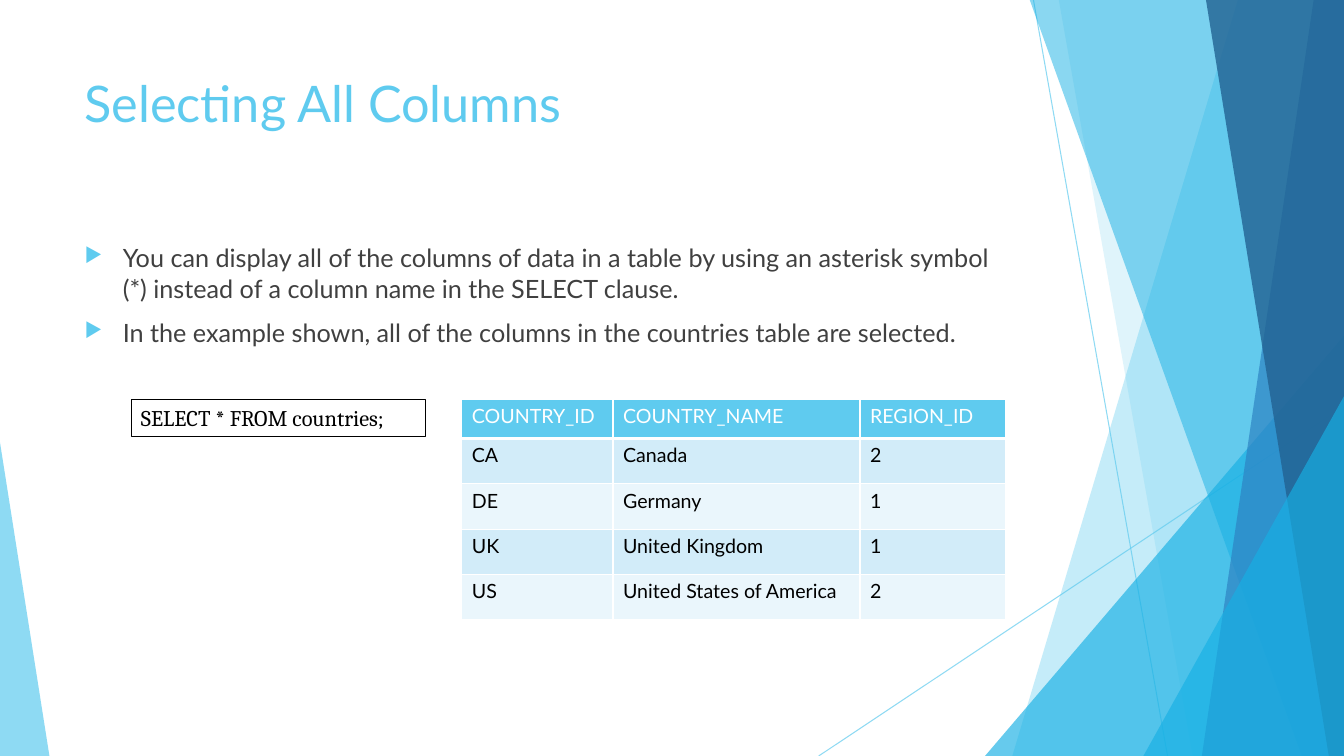
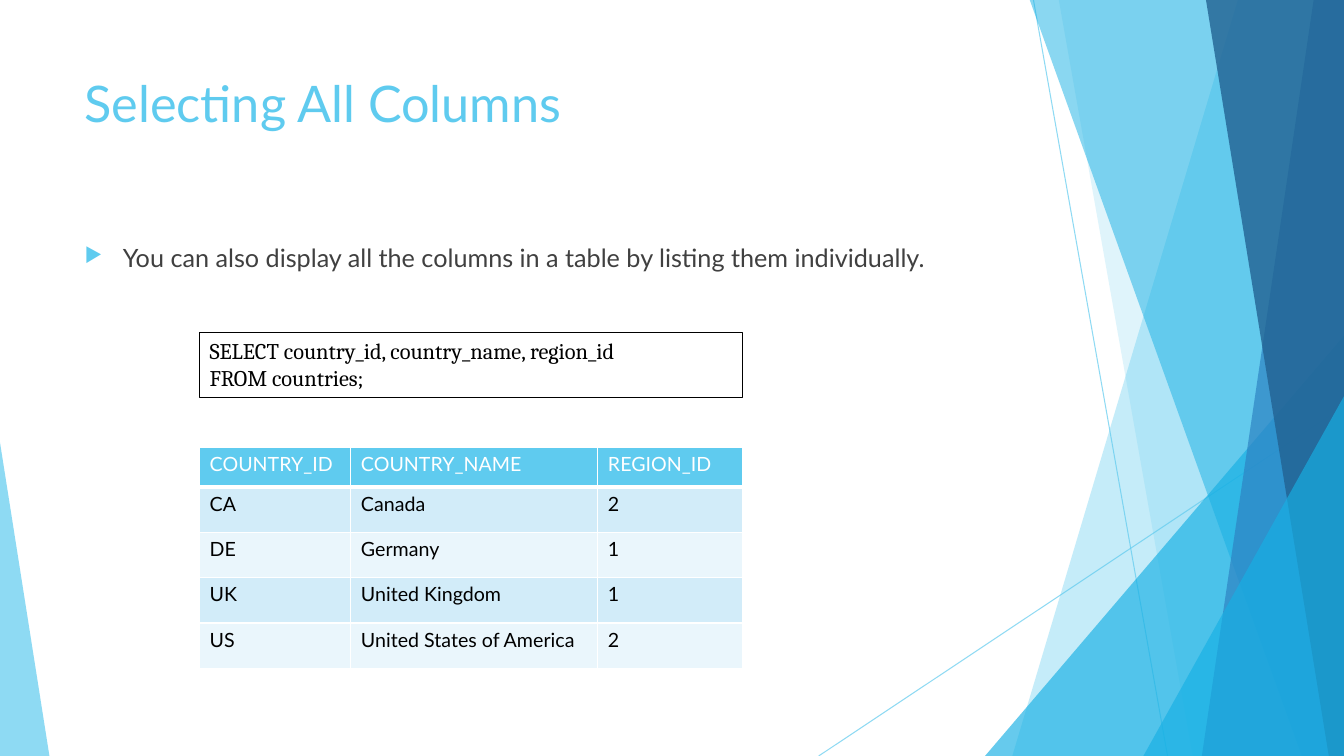
"""Builds two slides on selecting every column of a table in SQL."""
from dataclasses import dataclass

from lxml import etree
from pptx import Presentation
from pptx import util as u
from pptx.dml import color as dml
from pptx.enum import shapes, text
from pptx.oxml import ns

WIDTH, HEIGHT, TOP = 13.33, 7.5, -0.01
SKY, CYAN, BLUE, NAVY = "5FCBEF", "17B0E4", "2E83C3", "226292"
WHITE, BLACK, GREY = "FFFFFF", "000000", "404040"
BANDS = ("D2ECF9", "EAF6FC")
SANS, SERIF = "Lato", "Cambria"
TITLE = "Selecting All Columns"
COLUMN_WIDTHS = (1.5, 2.45, 1.44)
HEADER_HEIGHT, ROW_HEIGHT = 0.39, 0.45
COUNTRIES = (
    ("COUNTRY_ID", "COUNTRY_NAME", "REGION_ID"),
    ("CA", "Canada", "2"),
    ("DE", "Germany", "1"),
    ("UK", "United Kingdom", "1"),
    ("US", "United States of America", "2"),
)


@dataclass(frozen=True)
class Ray:
    start: tuple[float, float]
    end: tuple[float, float]


@dataclass(frozen=True)
class Band:
    top_left: float
    bottom_left: float
    color: str
    opacity: int


@dataclass(frozen=True)
class Wedge:
    left: float
    top: float
    width: float
    apex: float
    color: str
    opacity: int


@dataclass(frozen=True)
class Style:
    size: float
    font: str
    color: str


@dataclass(frozen=True)
class Lesson:
    bullets: tuple[str, ...]
    query: tuple[str, ...]
    query_box: tuple[float, float, float, float]
    table_at: tuple[float, float]


TITLE_STYLE = Style(36, SANS, SKY)
BODY_STYLE = Style(18, SANS, GREY)
QUERY_STYLE = Style(16, SERIF, BLACK)
HEADER_STYLE = Style(14, SANS, WHITE)
CELL_STYLE = Style(14, SANS, BLACK)

BACKDROP = (
    Ray((10.25, 0), (11.58, HEIGHT)),
    Ray((WIDTH, 4.03), (8.12, HEIGHT)),
    Band(12.28, 10.04, SKY, 36),
    Band(10.5, 11.83, SKY, 20),
    Wedge(9.77, 3.33, 3.56, 1, CYAN, 66),
    Band(10.21, 12.91, CYAN, 50),
    Band(13.03, 11.92, BLUE, 70),
    Band(11.96, 13.18, NAVY, 80),
    Wedge(11.34, 3.93, 1.99, 1, CYAN, 66),
    Wedge(0, 4.39, 0.49, 0, SKY, 70),
)

LESSONS = (
    Lesson(
        ("You can display all of the columns of data in a table by using an asterisk "
         "symbol (*) instead of a column name in the SELECT clause.",
         "In the example shown, all of the columns in the countries table are selected."),
        ("SELECT * FROM countries;",),
        (1.3, 3.96, 2.92, 0.37),
        (4.58, 3.96),
    ),
    Lesson(
        ("You can also display all the columns in a table by listing them individually.",),
        ("SELECT country_id, country_name, region_id", "FROM countries;"),
        (1.98, 3.3, 5.38, 0.64),
        (1.98, 4.44),
    ),
)


def paint(fill, color: str) -> None:
    fill.solid()
    fill.fore_color.rgb = dml.RGBColor.from_string(color)


def add_node(parent, tag: str, **attributes: str):
    node = etree.SubElement(parent, ns.qn(tag))
    for name, value in attributes.items():
        node.set(name, value)
    return node


def fade(shape, opacity: int) -> None:
    for color in shape.element.spPr.iter(ns.qn("a:srgbClr")):
        add_node(color, "a:alpha", val=str(opacity * 1000))


def draw_ray(page, ray: Ray) -> None:
    ends = [u.Inches(value) for value in (*ray.start, *ray.end)]
    line = page.shapes.add_connector(shapes.MSO_CONNECTOR.STRAIGHT, *ends)
    line.line.width = u.Pt(0.75)
    paint(line.line.fill, SKY)
    fade(line, 70)
    add_node(line.element.spPr, "a:effectLst")


def finish(shape, color: str, opacity: int) -> None:
    shape.shadow.inherit = False
    paint(shape.fill, color)
    shape.line.fill.background()
    fade(shape, opacity)


def draw_band(page, band: Band) -> None:
    corners = [(band.top_left, TOP), (WIDTH, TOP), (WIDTH, HEIGHT), (band.bottom_left, HEIGHT)]
    points = [(u.Inches(x), u.Inches(y)) for x, y in corners]
    outline = page.shapes.build_freeform(*points[0])
    outline.add_line_segments(points[1:], close=True)
    finish(outline.convert_to_shape(), band.color, band.opacity)


def draw_wedge(page, wedge: Wedge) -> None:
    frame = (wedge.left, wedge.top, wedge.width, HEIGHT - wedge.top)
    shape = page.shapes.add_shape(
        shapes.MSO_SHAPE.ISOSCELES_TRIANGLE, *(u.Inches(value) for value in frame))
    shape.adjustments[0] = wedge.apex
    finish(shape, wedge.color, wedge.opacity)


DRAWERS = {Ray: draw_ray, Band: draw_band, Wedge: draw_wedge}


def write(frame, lines: tuple[str, ...], style: Style) -> None:
    for index, line in enumerate(lines):
        para = frame.paragraphs[0] if index == 0 else frame.add_paragraph()
        para.alignment = text.PP_ALIGN.LEFT
        span = para.add_run()
        span.text = line
        span.font.name = style.font
        span.font.size = u.Pt(style.size)
        span.font.bold = False
        paint(span.font.fill, style.color)


def add_text(page, frame: tuple[float, ...], lines: tuple[str, ...], style: Style):
    box = page.shapes.add_textbox(*(u.Inches(value) for value in frame))
    box.text_frame.word_wrap = True
    write(box.text_frame, lines, style)
    return box


def add_bullets(page, lines: tuple[str, ...]) -> None:
    box = add_text(page, (0.74, 2.36, 9.4, 4.24), lines, BODY_STYLE)
    for para in box.text_frame.paragraphs:
        para.space_before = u.Pt(10)
        properties = para._p.get_or_add_pPr()
        properties.set("marL", str(u.Inches(0.38)))
        properties.set("indent", str(u.Inches(-0.38)))
        add_node(add_node(properties, "a:buClr"), "a:srgbClr", val=SKY)
        add_node(properties, "a:buSzPct", val="80000")
        add_node(properties, "a:buChar", char="▶")


def border(cell, is_header: bool) -> None:
    properties = cell._tc.get_or_add_tcPr()
    for index, side in enumerate(("a:lnL", "a:lnR", "a:lnT", "a:lnB")):
        width = 3 if is_header and side == "a:lnB" else 1
        edge = etree.Element(ns.qn(side), w=str(u.Pt(width)))
        add_node(add_node(edge, "a:solidFill"), "a:srgbClr", val=WHITE)
        properties.insert(index, edge)


def add_countries(page, left: float, top: float) -> None:
    heights = [HEADER_HEIGHT] + [ROW_HEIGHT] * (len(COUNTRIES) - 1)
    frame = (left, top, sum(COLUMN_WIDTHS), sum(heights))
    table = page.shapes.add_table(
        len(heights), len(COLUMN_WIDTHS), *(u.Inches(value) for value in frame)).table
    table.horz_banding = False
    for column, width in zip(table.columns, COLUMN_WIDTHS):
        column.width = u.Inches(width)
    for index, (row, height, values) in enumerate(zip(table.rows, heights, COUNTRIES)):
        row.height = u.Inches(height)
        is_header = index == 0
        for cell, value in zip(row.cells, values):
            write(cell.text_frame, (value,), HEADER_STYLE if is_header else CELL_STYLE)
            paint(cell.fill, SKY if is_header else BANDS[(index - 1) % 2])
            border(cell, is_header)


def add_query(page, lesson: Lesson) -> None:
    box = page.shapes.add_shape(
        shapes.MSO_SHAPE.RECTANGLE, *(u.Inches(value) for value in lesson.query_box))
    box.shadow.inherit = False
    box.fill.background()
    paint(box.line.fill, BLACK)
    box.line.width = u.Pt(0.75)
    box.text_frame.word_wrap = True
    box.text_frame.auto_size = text.MSO_AUTO_SIZE.SHAPE_TO_FIT_TEXT
    box.text_frame.vertical_anchor = text.MSO_ANCHOR.TOP
    write(box.text_frame, lesson.query, QUERY_STYLE)


def add_lesson(deck, lesson: Lesson) -> None:
    page = deck.slides.add_slide(deck.slide_layouts[6])
    for part in BACKDROP:
        DRAWERS[type(part)](page, part)
    add_text(page, (0.74, 0.67, 9.4, 1.44), (TITLE,), TITLE_STYLE)
    add_bullets(page, lesson.bullets)
    add_countries(page, *lesson.table_at)
    add_query(page, lesson)


def main() -> None:
    deck = Presentation()
    deck.slide_width, deck.slide_height = u.Inches(WIDTH), u.Inches(HEIGHT)
    for lesson in LESSONS:
        add_lesson(deck, lesson)
    deck.save("out.pptx")


if __name__ == "__main__":
    main()
